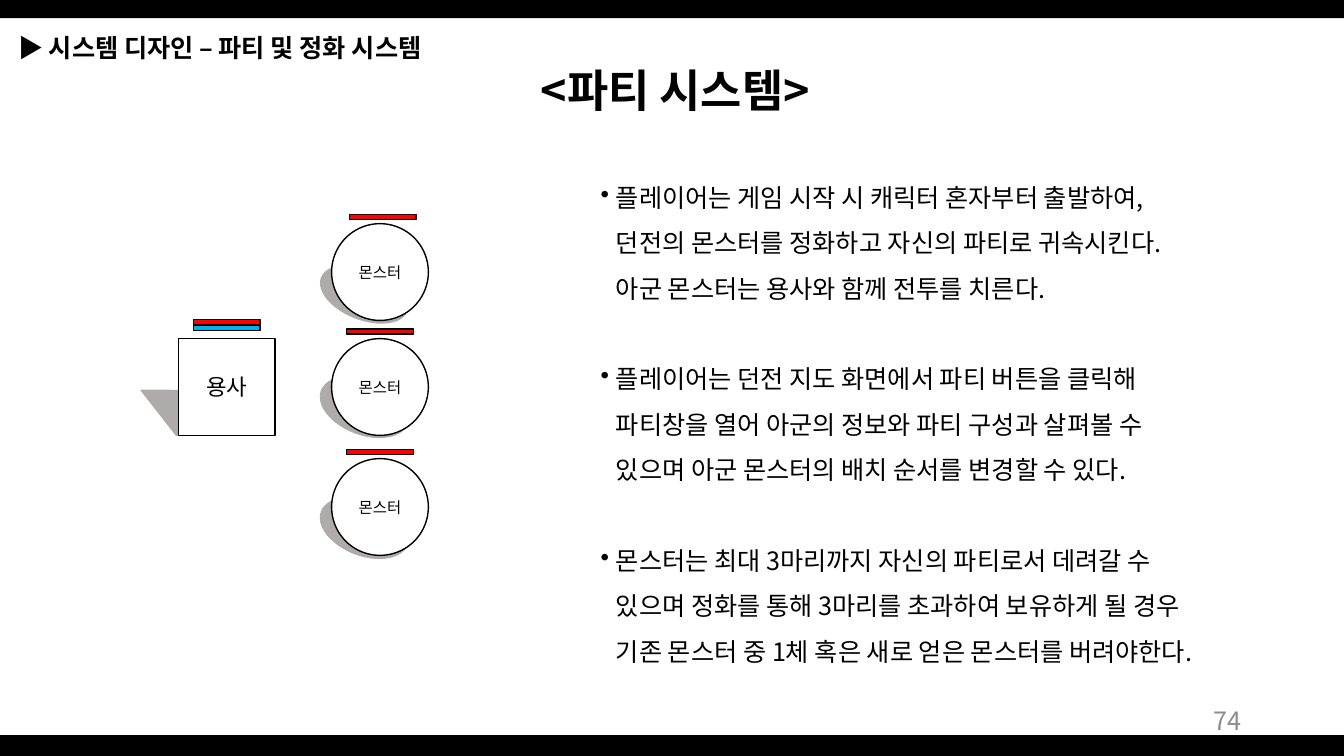
from lxml import etree
from pptx import Presentation
from pptx.dml.color import RGBColor
from pptx.enum.shapes import MSO_SHAPE
from pptx.enum.text import MSO_ANCHOR, PP_ALIGN
from pptx.oxml.ns import qn
from pptx.util import Pt

RECT, OVAL, TRIANGLE = MSO_SHAPE.RECTANGLE, MSO_SHAPE.OVAL, MSO_SHAPE.ISOSCELES_TRIANGLE
LEFT, CENTER, RIGHT = PP_ALIGN.LEFT, PP_ALIGN.CENTER, PP_ALIGN.RIGHT
TOP, MIDDLE = MSO_ANCHOR.TOP, MSO_ANCHOR.MIDDLE

FONT = "Noto Sans CJK KR"
COLORS = {
    "black": "000000", "white": "FFFFFF", "shadow": "AFABAB",
    "health": "FF0000", "mana": "00B0F0", "page": "8C8C8C",
}
BULLET_INDENT = 11
FIGURE_SIZE = 69.1
BAR_WIDTH, BAR_HEIGHT = 47.5, 3.6


def color(name):
    return RGBColor.from_string(COLORS[name])


def add_run(paragraph, text, size=18, tint="black", bold=False, spacing=0):
    run = paragraph.add_run()
    run.text = text
    run.font.size = Pt(size)
    run.font.bold = bold
    run.font.name = FONT
    run.font.color.rgb = color(tint)
    properties = run.font._element
    etree.SubElement(properties, qn("a:ea")).set("typeface", FONT)
    if spacing:
        properties.set("spc", str(spacing * 100))


class PartySlide:
    def __init__(self, slide):
        self.shapes = slide.shapes

    def shape(self, kind, left, top, width, height, fill, line=None, rotation=0):
        item = self.shapes.add_shape(kind, Pt(left), Pt(top), Pt(width), Pt(height))
        item.shadow.inherit = False
        item.rotation = rotation
        item.fill.solid()
        item.fill.fore_color.rgb = color(fill)
        if line:
            item.line.color.rgb = color(line)
            item.line.width = Pt(1)
        else:
            item.line.fill.background()
        return item

    def figure(self, kind, left, top, label, size):
        body = self.shape(kind, left, top, FIGURE_SIZE, FIGURE_SIZE, "white", "black")
        body.text_frame.vertical_anchor = MIDDLE
        paragraph = body.text_frame.paragraphs[0]
        paragraph.alignment = CENTER
        add_run(paragraph, label, size=size)

    def bar(self, left, top, fill):
        self.shape(RECT, left, top, BAR_WIDTH, BAR_HEIGHT, fill, "black")

    def frame(self, left, top, width, height, anchor=TOP):
        box = self.shapes.add_textbox(Pt(left), Pt(top), Pt(width), Pt(height))
        box.text_frame.word_wrap = True
        box.text_frame.vertical_anchor = anchor
        return box.text_frame

    def line_of_text(self, left, top, width, height, runs, size=18, align=LEFT, anchor=TOP):
        paragraph = self.frame(left, top, width, height, anchor).paragraphs[0]
        paragraph.alignment = align
        paragraph.line_spacing = Pt(size * 1.2)
        for text, style in runs:
            add_run(paragraph, text, size=size, **style)

    def bullets(self, left, top, width, height, items, pitch):
        frame = self.frame(left, top, width, height)
        for index, lines in enumerate(items):
            paragraph = frame.add_paragraph() if index else frame.paragraphs[0]
            paragraph.line_spacing = Pt(pitch)
            paragraph.space_before = Pt(pitch if index else 0)
            properties = paragraph._p.get_or_add_pPr()
            properties.set("marL", str(Pt(BULLET_INDENT)))
            properties.set("indent", str(-Pt(BULLET_INDENT)))
            etree.SubElement(properties, qn("a:buChar")).set("char", "•")
            for number, line in enumerate(lines):
                if number:
                    paragraph.add_line_break()
                add_run(paragraph, line)


def main():
    deck = Presentation()
    deck.slide_width, deck.slide_height = Pt(960), Pt(540)
    page = PartySlide(deck.slides.add_slide(deck.slide_layouts[6]))

    # Black bands at the edges
    page.shape(RECT, 0, 0, 960, 13, "black")
    page.shape(RECT, 0, 525, 960, 15, "black")

    # Headings and page number
    page.line_of_text(5.8, 19.4, 494.6, 28.8, [
        ("▶ ", {}),
        ("시스템 디자인 – 파티 및 정화 시스템", {"bold": True}),
    ])
    page.line_of_text(236.9, 41, 491, 46, [
        ("<", {"bold": True, "spacing": -3}),
        ("파티 시스템", {"bold": True}),
        (">", {"bold": True, "spacing": -3}),
    ], size=32, align=CENTER)
    page.line_of_text(678.2, 500.4, 216, 28.8, [("74", {"tint": "page"})],
                      align=RIGHT, anchor=MIDDLE)

    # Hero with health and mana bars
    hero_shadow = page.shape(TRIANGLE, 108, 258.5, 51.8, 41, "shadow", "shadow", 322)
    hero_shadow.adjustments[0] = 0
    page.figure(RECT, 127.4, 241.9, "용사", 16)
    page.bar(138.2, 228.4, "health")
    page.bar(138.2, 232.4, "mana")

    # Monsters: top, shadow top, shadow height, bar left, bar top
    monsters = [
        (159.8, 192.2, 36, 249.8, 153.4),
        (241.9, 271.4, 38.9, 247.7, 234.9),
        (327.6, 357.8, 38.9, 247.7, 321.1),
    ]
    for top, shadow_top, shadow_height, bar_left, bar_top in monsters:
        page.shape(OVAL, 227.5, shadow_top, 65.5, shadow_height, "shadow", "shadow", 21.1)
        page.figure(OVAL, 236.9, top, "몬스터", 11)
        page.bar(bar_left, bar_top, "health")

    # Rules of the party system
    page.bullets(421.9, 115.9, 483.8, 367.2, [
        ("플레이어는 게임 시작 시 캐릭터 혼자부터 출발하여,",
         "던전의 몬스터를 정화하고 자신의 파티로 귀속시킨다.",
         "아군 몬스터는 용사와 함께 전투를 치른다."),
        ("플레이어는 던전 지도 화면에서 파티 버튼을 클릭해",
         "파티창을 열어 아군의 정보와 파티 구성과 살펴볼 수",
         "있으며 아군 몬스터의 배치 순서를 변경할 수 있다."),
        ("몬스터는 최대 3마리까지 자신의 파티로서 데려갈 수",
         "있으며 정화를 통해 3마리를 초과하여 보유하게 될 경우",
         "기존 몬스터 중 1체 혹은 새로 얻은 몬스터를 버려야한다."),
    ], pitch=32.4)

    deck.save("out.pptx")


if __name__ == "__main__":
    main()
